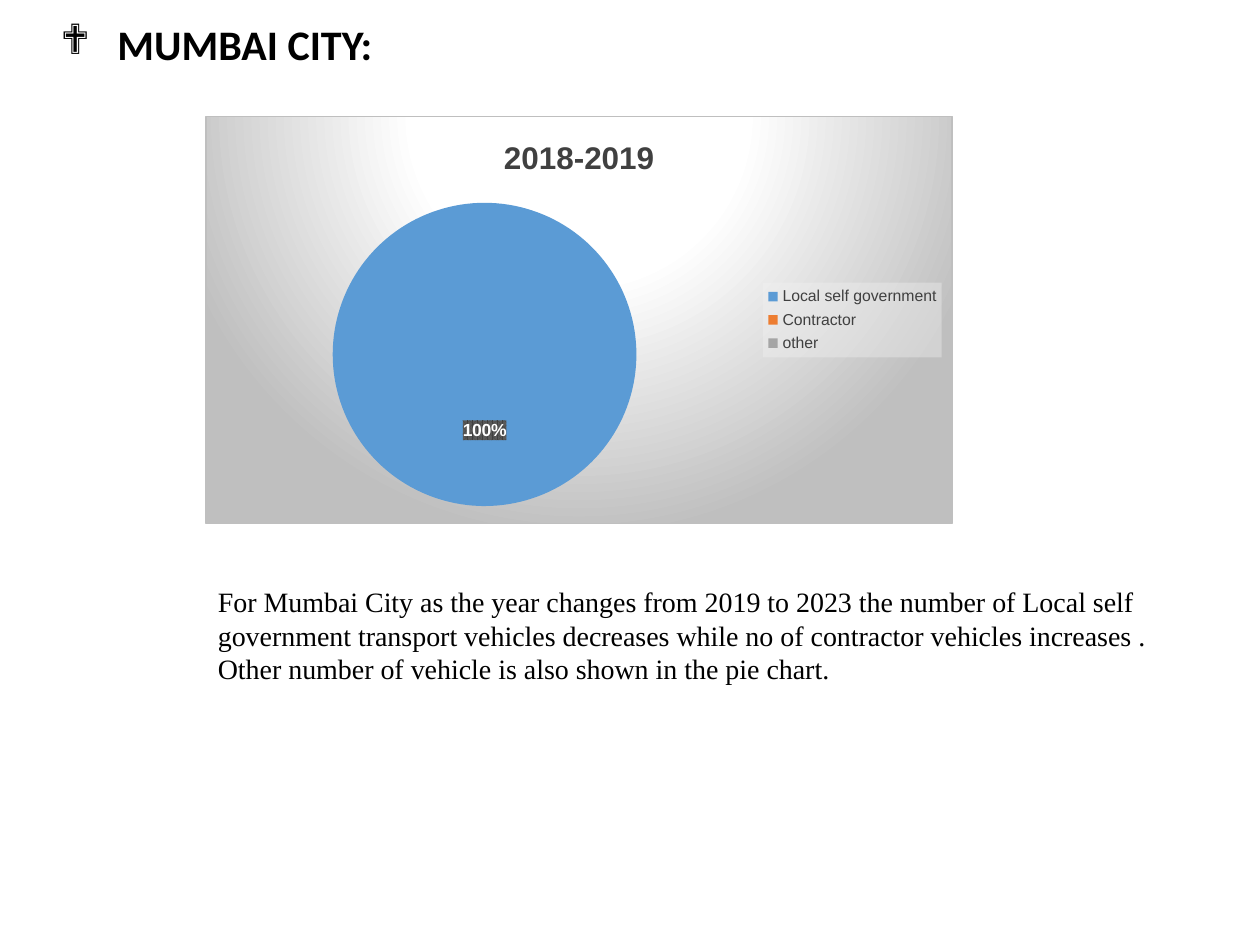
"""Build the Mumbai City slide: a heading, a pie chart of operators and a remark."""
import lxml.etree
import pptx
import pptx.chart.data
import pptx.dml.color
import pptx.enum.chart
import pptx.enum.text
import pptx.oxml
import pptx.oxml.ns
import pptx.util

Pt = pptx.util.Pt
qn = pptx.oxml.ns.qn

HEADING = "MUMBAI CITY:"
REMARK = (
    "For Mumbai City as the year changes from 2019 to 2023 the number of Local self "
    "government transport vehicles decreases while no of contractor vehicles increases . "
    "Other number of vehicle is also shown in the pie chart."
)
YEAR = "2018-2019"
OPERATORS = [
    ("Local self government", 100, "5B9BD5"),
    ("Contractor", 0, "ED7D31"),
    ("other", 0, "A5A5A5"),
]
HEADING_BOX = (27.4, 0, 620.6, 104.4)
CHART_BOX = (117.4, 66.2, 427, 233.3)
REMARK_BOX = (117.4, 330.5, 552.2, 65.5)
INDENT = 32.5

NAMESPACES = (
    'xmlns:c="http://schemas.openxmlformats.org/drawingml/2006/chart" '
    'xmlns:a="http://schemas.openxmlformats.org/drawingml/2006/main"'
)
CHART_FILL = (
    '<a:gradFill><a:gsLst><a:gs pos="0"><a:srgbClr val="FFFFFF"/></a:gs>'
    '<a:gs pos="39000"><a:srgbClr val="FFFFFF"/></a:gs>'
    '<a:gs pos="100000"><a:srgbClr val="BFBFBF"/></a:gs></a:gsLst>'
    '<a:path path="circle"><a:fillToRect l="50000" t="-80000" r="50000" b="180000"/></a:path>'
    '</a:gradFill><a:ln w="9525"><a:solidFill><a:srgbClr val="BFBFBF"/></a:solidFill></a:ln>'
)
LABEL_FILL = (
    '<a:pattFill prst="pct75"><a:fgClr><a:srgbClr val="404040"/></a:fgClr>'
    '<a:bgClr><a:srgbClr val="595959"/></a:bgClr></a:pattFill><a:ln><a:noFill/></a:ln>'
)
LEGEND_FILL = (
    '<a:solidFill><a:srgbClr val="F2F2F2"><a:alpha val="39000"/></a:srgbClr></a:solidFill>'
    '<a:ln><a:noFill/></a:ln>'
)


def color(value):
    return pptx.dml.color.RGBColor.from_string(value)


def format_font(font, name="Arial", size=10, fill="000000", bold=False):
    font.name, font.size, font.bold = name, Pt(size), bold
    font.color.rgb = color(fill)


def write_text(frame, text, **font_format):
    paragraph = frame.paragraphs[0]
    run = paragraph.add_run()
    run.text = text
    format_font(run.font, **font_format)
    return paragraph


def place(shape, box):
    shape.left, shape.top, shape.width, shape.height = map(Pt, box)


def add_area_format(element, content):
    area = pptx.oxml.parse_xml(f"<c:spPr {NAMESPACES}>{content}</c:spPr>")
    element.find(qn("c:txPr")).addprevious(area)


def add_heading(slide):
    title = slide.shapes.title
    place(title, HEADING_BOX)
    frame = title.text_frame
    frame.word_wrap = True
    frame.auto_size = pptx.enum.text.MSO_AUTO_SIZE.NONE
    frame.vertical_anchor = pptx.enum.text.MSO_ANCHOR.TOP
    frame.margin_top = Pt(14)
    paragraph = write_text(frame, HEADING, name="Calibri", size=24, bold=True)
    paragraph.alignment = pptx.enum.text.PP_ALIGN.LEFT
    paragraph.line_spacing = 0.9
    properties = paragraph._p.get_or_add_pPr()
    properties.set("marL", str(Pt(INDENT)))
    properties.set("indent", str(-Pt(INDENT)))
    lxml.etree.SubElement(properties, qn("a:buFont")).set("typeface", "Wingdings")
    lxml.etree.SubElement(properties, qn("a:buChar")).set("char", "❖")


def add_pie(slide):
    names, values, fills = zip(*OPERATORS)
    data = pptx.chart.data.CategoryChartData()
    data.categories = names
    data.add_series(YEAR, values)
    chart = slide.shapes.add_chart(
        pptx.enum.chart.XL_CHART_TYPE.PIE, *map(Pt, CHART_BOX), data
    ).chart
    format_font(chart.font)
    add_area_format(chart._chartSpace, CHART_FILL)
    write_text(chart.chart_title.text_frame, YEAR, size=18, fill="404040", bold=True)
    chart.chart_title.include_in_layout = False

    chart.has_legend = True
    chart.legend.position = pptx.enum.chart.XL_LEGEND_POSITION.RIGHT
    chart.legend.include_in_layout = False
    format_font(chart.legend.font, size=9, fill="404040")
    add_area_format(chart.legend._element, LEGEND_FILL)

    plot = chart.plots[0]
    plot.vary_by_categories = True
    series = plot.series[0]
    labels = series.data_labels
    labels.show_percentage, labels.show_value = True, False
    labels.number_format, labels.number_format_is_linked = "0%", False
    labels.position = pptx.enum.chart.XL_LABEL_POSITION.CENTER
    format_font(labels.font, fill="FFFFFF", bold=True)
    add_area_format(labels._element, LABEL_FILL)
    hidden = [index for index, value in enumerate(values) if value == 0]
    for place_in_list, index in enumerate(hidden):
        labels._element.insert(place_in_list, pptx.oxml.parse_xml(
            f'<c:dLbl {NAMESPACES}><c:idx val="{index}"/><c:delete val="1"/></c:dLbl>'
        ))
    for index, fill in enumerate(fills):
        slice_format = series.points[index].format
        slice_format.fill.solid()
        slice_format.fill.fore_color.rgb = color(fill)
        slice_format.line.fill.background()


def add_remark(slide):
    frame = slide.shapes.add_textbox(*map(Pt, REMARK_BOX)).text_frame
    frame.word_wrap = True
    frame.auto_size = pptx.enum.text.MSO_AUTO_SIZE.SHAPE_TO_FIT_TEXT
    write_text(frame, REMARK, name="Times New Roman", size=16)


def main():
    presentation = pptx.Presentation()
    presentation.slide_width, presentation.slide_height = Pt(720), Pt(540)
    slide = presentation.slides.add_slide(presentation.slide_layouts[5])
    add_heading(slide)
    add_pie(slide)
    add_remark(slide)
    presentation.save("out.pptx")


if __name__ == "__main__":
    main()
